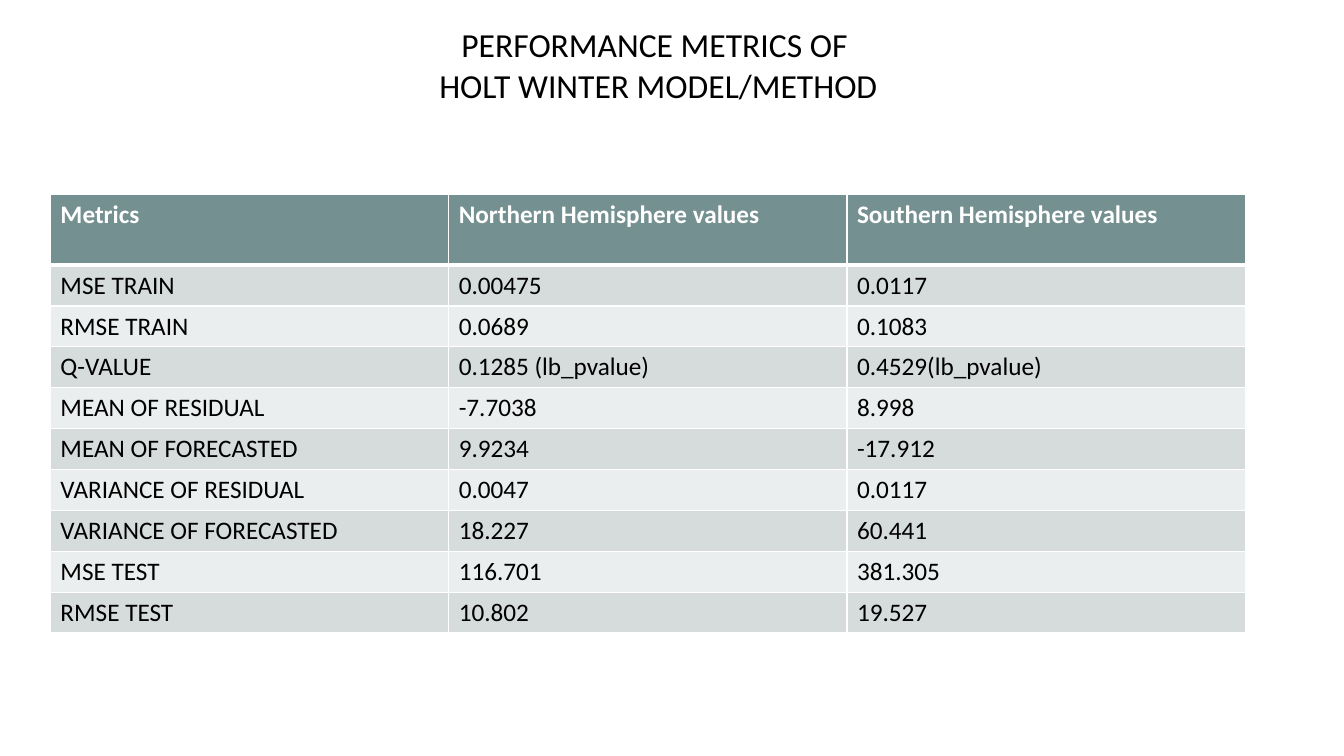
import pptx
import pptx.dml.color
import pptx.enum.text
import pptx.oxml
import pptx.oxml.ns
import pptx.util

SLIDE_WIDTH, SLIDE_HEIGHT = 13.33, 7.5
TABLE_LEFT, TABLE_TOP, TABLE_HEIGHT = 0.5, 1.93, 4.35
COLUMN_WIDTH, HEADER_HEIGHT = 3.95, 0.7
FONT = "Calibri"
BLACK, WHITE = "000000", "FFFFFF"
HEADER_FILL, BAND_FILLS = "749090", ("D6DBDB", "EBEEEE")

HEADINGS = ("Metrics", "Northern Hemisphere values", "Southern Hemisphere values")
METRICS = (
    ("MSE TRAIN", "0.00475", "0.0117"),
    ("RMSE TRAIN", "0.0689", "0.1083"),
    ("Q-VALUE", "0.1285 (lb_pvalue)", "0.4529(lb_pvalue)"),
    ("MEAN OF RESIDUAL", "-7.7038", "8.998"),
    ("MEAN OF FORECASTED", "9.9234", "-17.912"),
    ("VARIANCE OF RESIDUAL", "0.0047", "0.0117"),
    ("VARIANCE OF FORECASTED", "18.227", "60.441"),
    ("MSE TEST", "116.701", "381.305"),
    ("RMSE TEST", "10.802", "19.527"),
)


def inches(value):
    return pptx.util.Inches(value)


def color(hex_value):
    return pptx.dml.color.RGBColor.from_string(hex_value)


def write_text(frame, text, size=18, ink=BLACK, bold=False, align="LEFT"):
    """Fill a text frame with one paragraph per line of text."""
    frame.text = text
    for paragraph in frame.paragraphs:
        paragraph.alignment = getattr(pptx.enum.text.PP_ALIGN, align)
        for run in paragraph.runs:
            run.font.name = FONT
            run.font.size = pptx.util.Pt(size)
            run.font.bold = bold
            run.font.color.rgb = color(ink)


def add_border(cell, side, width, ink=WHITE):
    cell._tc.get_or_add_tcPr().append(pptx.oxml.parse_xml(
        f'<a:ln{side} {pptx.oxml.ns.nsdecls("a")} w="{pptx.util.Pt(width)}">'
        f'<a:solidFill><a:srgbClr val="{ink}"/></a:solidFill></a:ln{side}>'))


def format_cell(cell, text, fill, top=1, bottom=1, **text_format):
    write_text(cell.text_frame, text, **text_format)
    # Borders come before the fill in the cell's properties
    for side, width in (("L", 1), ("R", 1), ("T", top), ("B", bottom)):
        add_border(cell, side, width)
    cell.fill.solid()
    cell.fill.fore_color.rgb = color(fill)


def add_title(slide, text):
    title = slide.shapes.title
    title.left, title.top = inches(2.95), inches(0.19)
    title.width, title.height = inches(7.16), inches(0.91)
    frame = title.text_frame
    frame.word_wrap = True
    frame.vertical_anchor = pptx.enum.text.MSO_ANCHOR.TOP
    frame.auto_size = pptx.enum.text.MSO_AUTO_SIZE.SHAPE_TO_FIT_TEXT
    write_text(frame, text, size=24, align="CENTER")


def add_metrics_table(slide):
    table = slide.shapes.add_table(
        len(METRICS) + 1, len(HEADINGS), inches(TABLE_LEFT), inches(TABLE_TOP),
        inches(COLUMN_WIDTH * len(HEADINGS)), inches(TABLE_HEIGHT)).table
    table.horz_banding = False
    for column in table.columns:
        column.width = inches(COLUMN_WIDTH)
    body_height = (TABLE_HEIGHT - HEADER_HEIGHT) / len(METRICS)
    for index, row in enumerate(table.rows):
        row.height = inches(body_height if index else HEADER_HEIGHT)

    # Header row
    for column, heading in enumerate(HEADINGS):
        format_cell(table.cell(0, column), heading, HEADER_FILL,
                    bottom=3, ink=WHITE, bold=True)

    # Banded body rows
    for row, values in enumerate(METRICS, start=1):
        for column, value in enumerate(values):
            format_cell(table.cell(row, column), value, BAND_FILLS[(row - 1) % 2],
                        top=3 if row == 1 else 1)


def main():
    deck = pptx.Presentation()
    deck.slide_width, deck.slide_height = inches(SLIDE_WIDTH), inches(SLIDE_HEIGHT)
    slide = deck.slides.add_slide(deck.slide_layouts.get_by_name("Title Only"))
    add_title(slide, "PERFORMANCE METRICS OF \nHOLT WINTER MODEL/METHOD")
    add_metrics_table(slide)
    deck.save("out.pptx")


if __name__ == "__main__":
    main()
